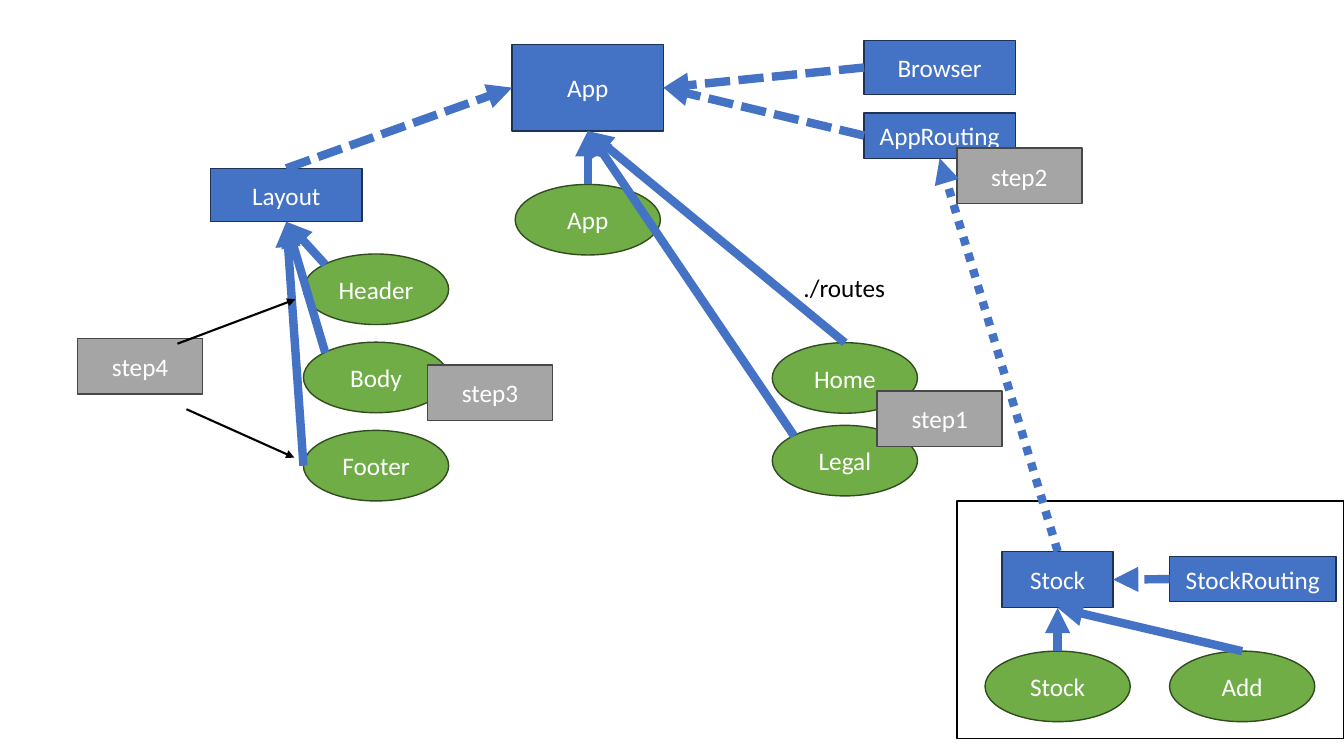
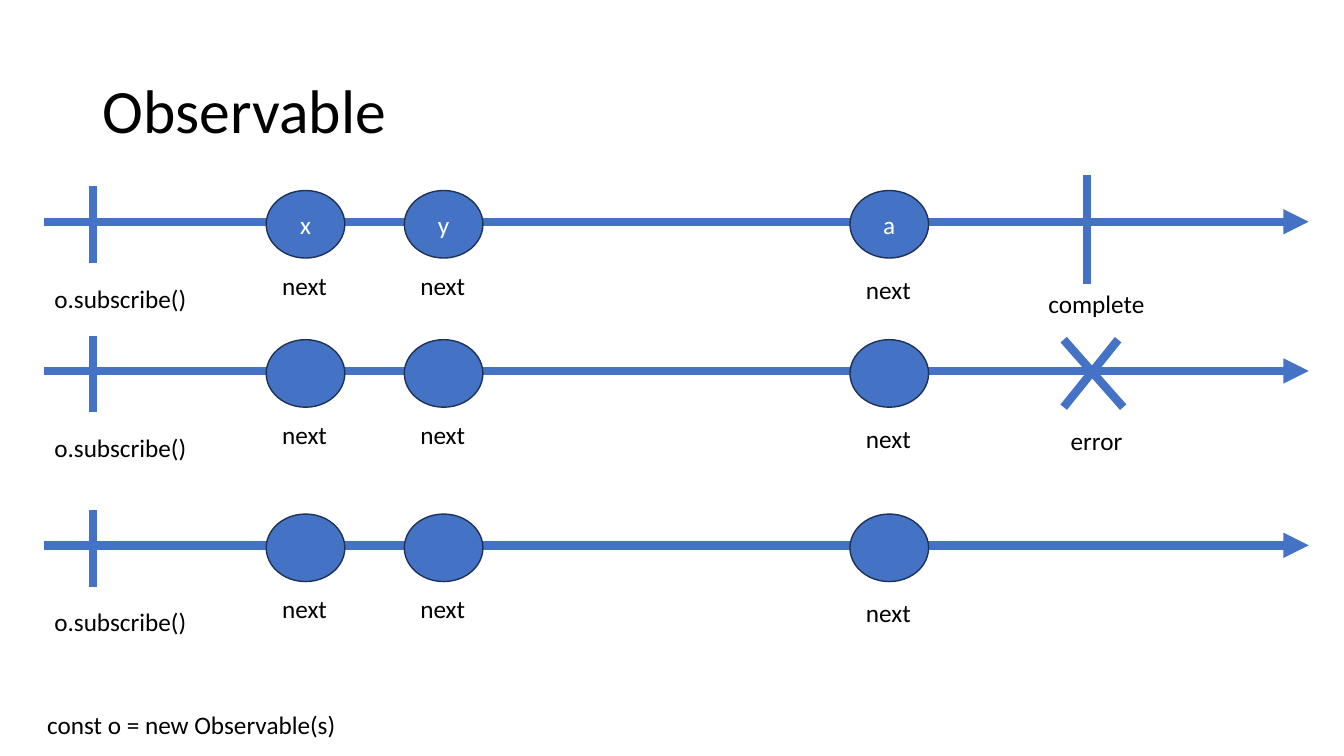
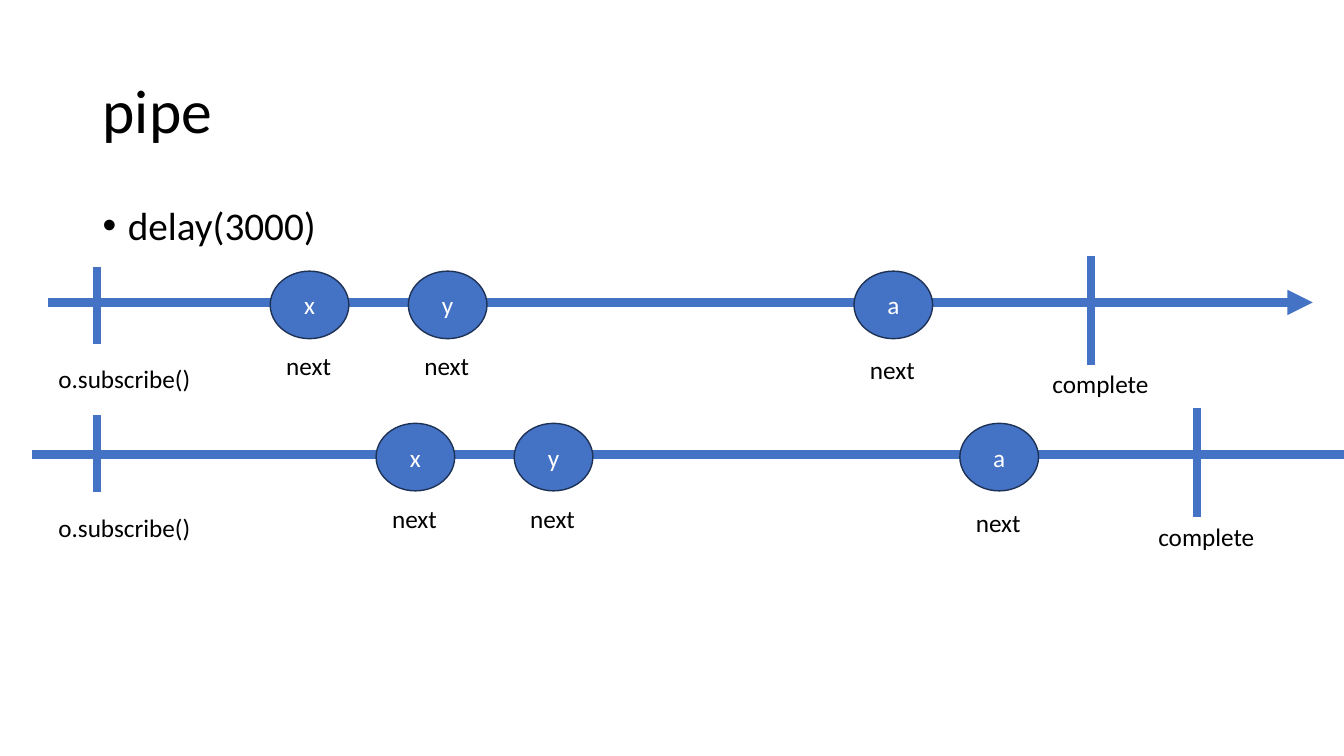
"""Draws the module diagram and the observable timelines."""
from dataclasses import dataclass

from lxml import etree
from pptx import Presentation
from pptx import util as u
from pptx.dml.color import RGBColor
from pptx.enum import dml, shapes, text
from pptx.oxml.ns import qn

I = u.Inches


@dataclass(frozen=True)
class Theme:
    """Colours, font and sizes shared by the slides."""
    blue: str = "4472C4"
    navy: str = "1E3256"
    green: str = "70AD47"
    moss: str = "314C1F"
    grey: str = "A5A5A5"
    slate: str = "484848"
    white: str = "FFFFFF"
    black: str = "000000"
    font: str = "Calibri"
    body: int = 18
    point: int = 28
    title: int = 44
    thin: float = 1
    pen: float = 1.5
    bold: float = 6


T = Theme()
RECT = shapes.MSO_SHAPE.RECTANGLE
OVAL = shapes.MSO_SHAPE.OVAL
DASH = dml.MSO_LINE.SQUARE_DOT
DOT = dml.MSO_LINE.ROUND_DOT
TOP, LEFT, BASE, RIGHT, CORNER, EDGE = range(6)
SPOTS = [(0.5, 0), (0, 0.5), (0.5, 1), (1, 0.5), (0.15, 0.15), (0, 0.5)]


def style(para, size, color):
    """Format every run of a paragraph."""
    for run in para.runs:
        run.font.name = T.font
        run.font.size = u.Pt(size)
        run.font.color.rgb = RGBColor.from_string(color)


def node(s, kind, box, label="", fill=T.blue, edge=T.navy):
    """Add an outlined shape with a centred label."""
    shp = s.shapes.add_shape(kind, *map(I, box))
    shp.shadow.inherit = False
    shp.fill.solid()
    shp.fill.fore_color.rgb = RGBColor.from_string(fill)
    shp.line.color.rgb = RGBColor.from_string(edge)
    shp.line.width = u.Pt(T.thin)
    if label:
        frame = shp.text_frame
        frame.text = label
        frame.vertical_anchor = text.MSO_ANCHOR.MIDDLE
        para = frame.paragraphs[0]
        para.alignment = text.PP_ALIGN.CENTER
        style(para, T.body, T.white)
    return shp


def leaf(s, x, y, label):
    """Add a green component oval."""
    return node(s, OVAL, (x, y, 1.44, 0.7), label, T.green, T.moss)


def step(s, x, y, num):
    """Add a grey step tag."""
    return node(s, RECT, (x, y, 1.24, 0.55), f"step{num}", T.grey, T.slate)


def note(s, x, y, w, label):
    """Add a one-line label that does not wrap."""
    frame = s.shapes.add_textbox(I(x), I(y), I(w), I(0.4)).text_frame
    frame.word_wrap = False
    frame.auto_size = text.MSO_AUTO_SIZE.SHAPE_TO_FIT_TEXT
    frame.text = label
    style(frame.paragraphs[0], T.body, T.black)


def line(s, ends, arrow=False, dash=None, color=T.blue, width=T.bold):
    """Add a straight line through two points given as lengths."""
    con = s.shapes.add_connector(shapes.MSO_CONNECTOR.STRAIGHT, *ends)
    con.line.color.rgb = RGBColor.from_string(color)
    con.line.width = u.Pt(width)
    if dash:
        con.line.dash_style = dash
    props = con._element.spPr
    if arrow:
        etree.SubElement(props.find(qn("a:ln")), qn("a:tailEnd"), type="triangle")
    etree.SubElement(props, qn("a:effectLst"))
    return con


def stroke(s, *ends, **look):
    """Add a line whose ends are given in inches."""
    return line(s, list(map(I, ends)), **look)


def spot(shp, side):
    """Return the point of a shape at one of its spots."""
    fx, fy = SPOTS[side]
    return int(shp.left + fx * shp.width), int(shp.top + fy * shp.height)


def link(s, src, out, dst, into, dash=None):
    """Add an arrow from one shape to another."""
    con = line(s, spot(src, out) + spot(dst, into), True, dash)
    if out < CORNER:
        con.begin_connect(src, out)
    con.end_connect(dst, into)


def root(s, x, y):
    """Draw the app module, its imports and pages; return app and router."""
    app = node(s, RECT, (x, y, 1.5, 0.86), "App")
    main = leaf(s, x + 0.03, y + 1.39, "App")
    route = node(s, RECT, (x + 3.49, y + 0.68, 1.5, 0.45), "AppRouting")
    web = node(s, RECT, (x + 3.49, y - 0.04, 1.5, 0.54), "Browser")
    legal = leaf(s, x + 2.58, y + 3.78, "Legal")
    home = leaf(s, x + 2.58, y + 2.96, "Home")
    link(s, main, TOP, app, BASE)
    for part in (route, web):
        link(s, part, LEFT, app, RIGHT, DASH)
    link(s, home, TOP, app, BASE)
    link(s, legal, CORNER, app, BASE)
    note(s, x + 2.79, y + 2.21, 1.02, "./routes")
    step(s, x + 3.62, y + 3.44, 1)
    step(s, x + 4.41, y + 1.03, 2)
    return app, route


def layout(s, x, y):
    """Draw the layout module with its three parts and return it."""
    top = node(s, RECT, (x, y, 1.5, 0.53), "Layout")
    parts = [("Header", CORNER), ("Body", CORNER), ("Footer", EDGE)]
    for i, (name, out) in enumerate(parts):
        part = leaf(s, x + 0.92, y + 0.85 + 0.875 * i, name)
        link(s, part, out, top, BASE)
    step(s, x + 2.15, y + 1.95, 3)
    step(s, x - 1.32, y + 1.69, 4)
    pen = dict(arrow=True, color=T.black, width=T.pen)
    stroke(s, x - 0.33, y + 1.74, x + 0.84, y + 1.3, **pen)
    stroke(s, x - 0.24, y + 2.39, x + 0.83, y + 2.87, **pen)
    return top


def stock(s, x, y, w, h):
    """Draw the framed stock module and return it."""
    node(s, RECT, (x, y, w, h), fill=T.white, edge=T.black)
    mod = node(s, RECT, (x + 0.45, y + 0.5, 1.1, 0.56), "Stock")
    route = node(s, RECT, (x + 2.11, y + 0.55, 1.65, 0.45), "StockRouting")
    link(s, route, LEFT, mod, RIGHT, DASH)
    for dx, name in ((0.28, "Stock"), (2.11, "Add")):
        link(s, leaf(s, x + dx, y + 1.49, name), TOP, mod, BASE)
    return mod


def modules(s):
    """Build the module diagram."""
    mod = stock(s, 9.49, 4.97, 3.84, 2.36)
    app, route = root(s, 5.08, 0.44)
    link(s, layout(s, 2.09, 1.67), TOP, app, LEFT, DASH)
    link(s, mod, TOP, route, BASE, DOT)


def finish(s, x, y, end):
    """Draw the completion bar or the error cross."""
    if end == "complete":
        stroke(s, x + 10.34, y - 0.46, x + 10.34, y + 0.62)
        note(s, x + 9.86, y + 0.61, 1.17, end)
    elif end == "error":
        stroke(s, x + 10.11, y - 0.31, x + 10.7, y + 0.36)
        stroke(s, x + 10.65, y - 0.31, x + 10.11, y + 0.36)
        note(s, x + 10.08, y + 0.49, 0.72, end)


def track(s, x, y, names=("", "", ""), end="", delay=0, lead=0, lift=0):
    """Draw one timeline whose events start after a delay."""
    stroke(s, x - lead, y, x + 12.54 + delay, y, arrow=True)
    stroke(s, x + 0.48, y - 0.35 - lift, x + 0.48, y + 0.41 - lift)
    note(s, x, y + 0.56 - lift, 1.53, "o.subscribe()")
    late = x + delay
    for name, dx, dy in zip(names, (2.2, 3.57, 7.99), (0.43, 0.43, 0.47)):
        node(s, OVAL, (late + dx, y - 0.31, 0.78, 0.67), name)
        note(s, late + dx + 0.06, y + dy, 0.65, "next")
    finish(s, late, y, end)


def block(s, box, words, size):
    """Add a wrapped text block and return its frame and paragraph."""
    frame = s.shapes.add_textbox(*map(I, box)).text_frame
    frame.word_wrap = True
    frame.text = words
    para = frame.paragraphs[0]
    para.line_spacing = 0.9
    style(para, size, T.black)
    return frame, para


def title(s, words):
    """Add the slide title."""
    frame, _ = block(s, (0.92, 0.4, 11.5, 1.45), words, T.title)
    frame.vertical_anchor = text.MSO_ANCHOR.MIDDLE


def bullet(s, words):
    """Add the bulleted body text."""
    _, para = block(s, (0.92, 2, 11.5, 4.76), words, T.point)
    props = para._p.get_or_add_pPr()
    props.set("marL", str(I(0.25)))
    props.set("indent", str(I(-0.25)))
    etree.SubElement(props, qn("a:buFont"), typeface="Arial")
    etree.SubElement(props, qn("a:buChar"), char="•")


def observe(s):
    """Build the slide with three timelines."""
    title(s, "Observable")
    track(s, 0.44, 2.2, "xya", "complete")
    track(s, 0.44, 3.68, end="error")
    track(s, 0.44, 5.41)
    note(s, 0.37, 6.99, 3.1, "const o = new Observable(s)")


def pipe(s):
    """Build the slide with a delayed timeline."""
    title(s, "pipe")
    bullet(s, "delay(3000)")
    track(s, 0.48, 3, "xya", "complete")
    track(s, 0.48, 4.51, "xya", "complete", delay=1.05, lead=0.16, lift=0.04)


def main():
    """Build and save the slides."""
    deck = Presentation()
    deck.slide_width, deck.slide_height = I(13.33), I(7.5)
    for build in (modules, observe, pipe):
        build(deck.slides.add_slide(deck.slide_layouts[6]))
    deck.save("out.pptx")


if __name__ == "__main__":
    main()
